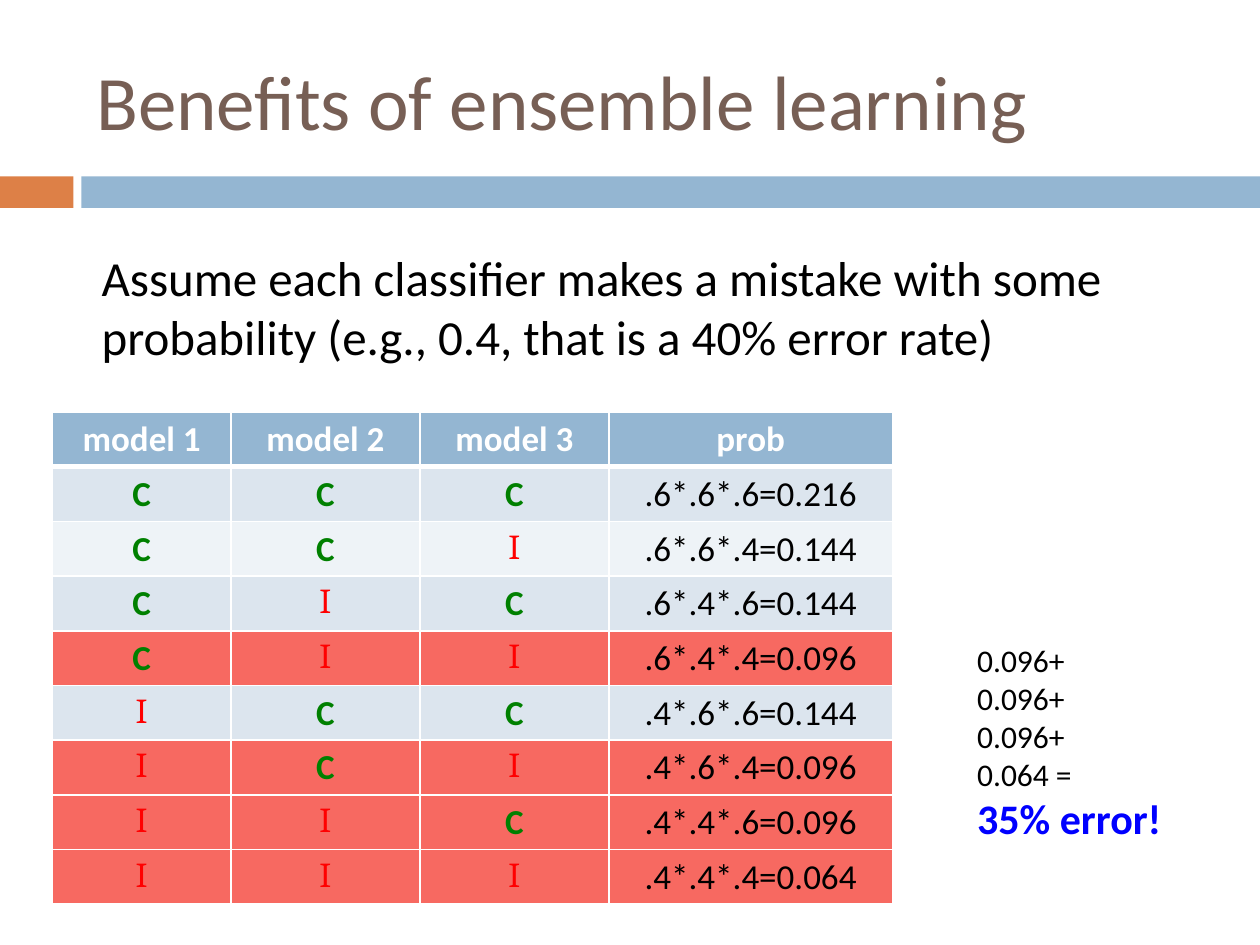
"""Build the slide on the benefits of ensemble learning."""
from dataclasses import dataclass
from itertools import product

from lxml import etree
from pptx import Presentation
from pptx import util as u
from pptx.dml.color import RGBColor
from pptx.enum import shapes, text
from pptx.oxml import ns

BLUE, ORANGE, RED_ROW, WHITE, BLACK = "94B6D2", "DD8047", "F76961", "FFFFFF", "000000"
BANDS = ("DCE5EE", "EEF3F7")
CHANCES = {"C": 0.6, "I": 0.4}
HEADINGS = ("model 1", "model 2", "model 3", "prob")
COLUMN_WIDTHS = (102, 108, 108, 162)
ROW_HEIGHT = 31.2


@dataclass(frozen=True)
class Frame:
    left: float
    top: float
    width: float
    height: float

    def lengths(self) -> list:
        return [u.Pt(value) for value in (self.left, self.top, self.width, self.height)]


@dataclass(frozen=True)
class Style:
    size: float
    color: str = BLACK
    bold: bool = False
    font: str = "Calibri"


BODY = Style(20)
HEADING = Style(20, WHITE, True)
OUTCOME_STYLES = {"C": Style(20, "008000", True), "I": Style(20, "FF0000", font="Cambria")}
SUM_LINE = Style(18)


def rgb(color: str) -> RGBColor:
    return RGBColor.from_string(color)


def write(para, words: str, style: Style) -> None:
    para.text = words
    for span in para.runs:
        span.font.name = style.font
        span.font.size = u.Pt(style.size)
        span.font.bold = style.bold
        span.font.color.rgb = rgb(style.color)


def add_bar(page, frame: Frame, color: str) -> None:
    bar = page.shapes.add_shape(shapes.MSO_SHAPE.RECTANGLE, *frame.lengths())
    bar.shadow.inherit = False
    bar.fill.solid()
    bar.fill.fore_color.rgb = rgb(color)
    bar.line.fill.background()


def add_text(page, frame: Frame, lines: list[tuple[str, Style]],
             anchor=text.MSO_ANCHOR.TOP, wrap: bool = True) -> None:
    box = page.shapes.add_textbox(*frame.lengths())
    content = box.text_frame
    content.word_wrap = wrap
    content.vertical_anchor = anchor
    content.text = "\n".join(words for words, _ in lines)
    for para, (words, style) in zip(content.paragraphs, lines):
        write(para, words, style)


def set_borders(cell, top: float, bottom: float) -> None:
    properties = cell._tc.get_or_add_tcPr()
    widths = {"lnL": 1, "lnR": 1, "lnT": top, "lnB": bottom}
    for position, (side, width) in enumerate(widths.items()):
        line = etree.Element(ns.qn(f"a:{side}"), w=str(u.Pt(width)))
        fill = etree.SubElement(line, ns.qn("a:solidFill"))
        etree.SubElement(fill, ns.qn("a:srgbClr"), val=WHITE)
        properties.insert(position, line)


def fill_row(table, row: int, entries: list[tuple[str, Style]], color: str) -> None:
    table.rows[row].height = u.Pt(ROW_HEIGHT)
    for column, (words, style) in enumerate(entries):
        cell = table.cell(row, column)
        para = cell.text_frame.paragraphs[0]
        write(para, words, style)
        para.alignment = text.PP_ALIGN.CENTER
        cell.fill.solid()
        cell.fill.fore_color.rgb = rgb(color)
        set_borders(cell, top=3 if row == 1 else 1, bottom=3 if row == 0 else 1)


def outcome_entries(outcomes: tuple[str, ...]) -> list[tuple[str, Style]]:
    chances = [CHANCES[outcome] for outcome in outcomes]
    factors = "*".join(f"{chance:.1f}".lstrip("0") for chance in chances)
    total = chances[0] * chances[1] * chances[2]
    entries = [(outcome, OUTCOME_STYLES[outcome]) for outcome in outcomes]
    return entries + [(f"{factors}={total:.3f}", BODY)]


def add_probability_table(page) -> None:
    cases = list(product("CI", repeat=3))
    rows = len(cases) + 1
    frame = Frame(30, 235.5, sum(COLUMN_WIDTHS), rows * ROW_HEIGHT)
    table = page.shapes.add_table(rows, len(HEADINGS), *frame.lengths()).table
    for column, width in zip(table.columns, COLUMN_WIDTHS):
        column.width = u.Pt(width)
    fill_row(table, 0, [(heading, HEADING) for heading in HEADINGS], BLUE)
    for index, outcomes in enumerate(cases):
        color = RED_ROW if outcomes.count("I") > 1 else BANDS[index % 2]
        fill_row(table, index + 1, outcome_entries(outcomes), color)


def main() -> None:
    deck = Presentation()
    deck.slide_width, deck.slide_height = u.Pt(720), u.Pt(540)
    page = deck.slides.add_slide(deck.slide_layouts[6])
    add_bar(page, Frame(0, 100.8, 42, 18), ORANGE)
    add_bar(page, Frame(46.5, 100.8, 673.5, 18), BLUE)
    add_text(page, Frame(48, 18, 642, 78),
             [("Benefits of ensemble learning", Style(44, "775F55"))],
             anchor=text.MSO_ANCHOR.MIDDLE)
    add_text(page, Frame(51, 138, 621, 75),
             [("Assume each classifier makes a mistake with some probability "
               "(e.g., 0.4, that is a 40% error rate)", Style(28))])
    add_probability_table(page)
    sum_lines = ("0.096+", "0.096+", "0.096+", "0.064 =")
    add_text(page, Frame(551.3, 363, 122.4, 123.8),
             [(line, SUM_LINE) for line in sum_lines]
             + [("35% error!", Style(24, "0000FF", True))], wrap=False)
    deck.save("out.pptx")


if __name__ == "__main__":
    main()
